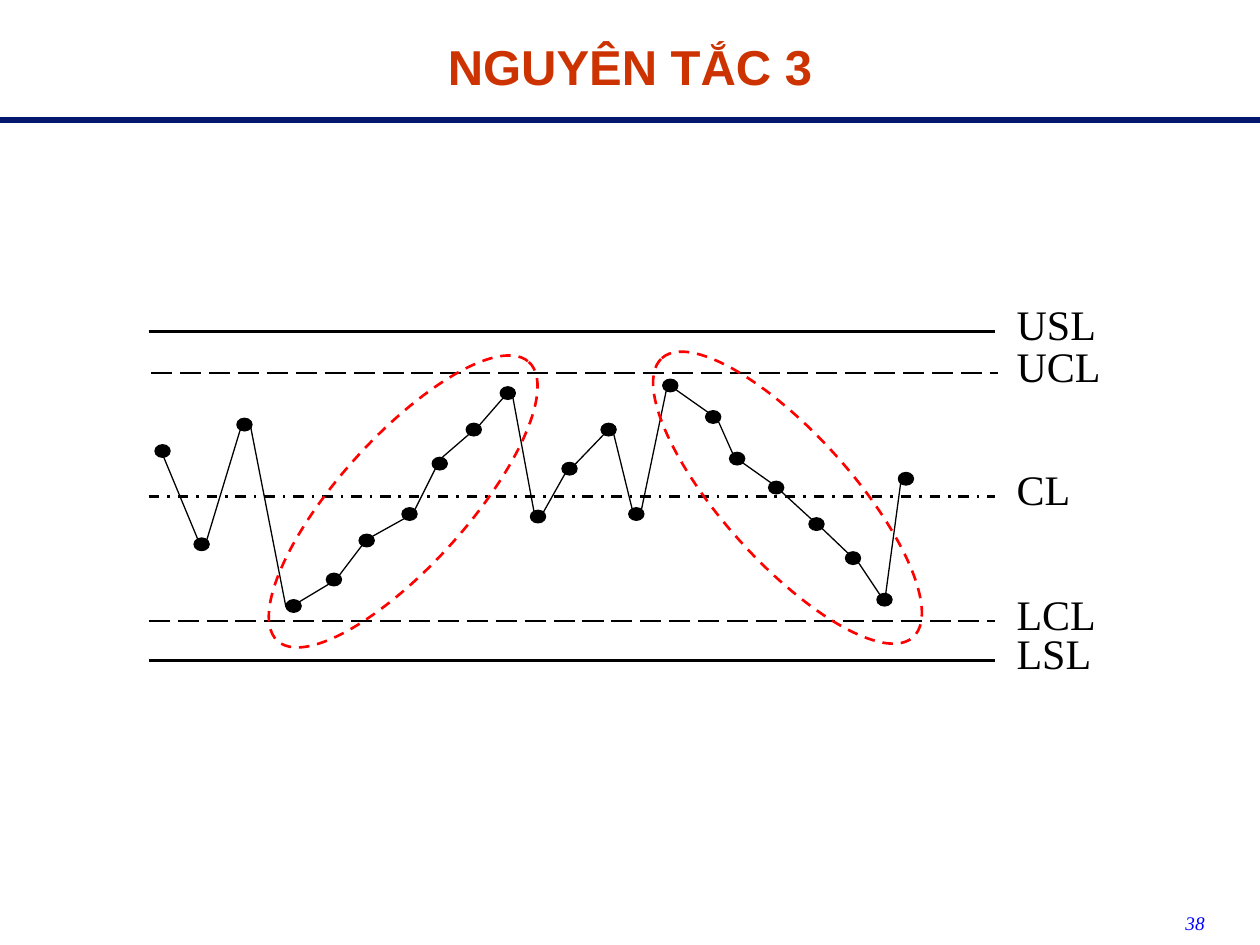
from dataclasses import dataclass
from itertools import pairwise

from pptx import Presentation
from pptx.dml.color import RGBColor
from pptx.enum.dml import MSO_LINE
from pptx.enum.shapes import MSO_CONNECTOR, MSO_SHAPE
from pptx.enum.text import PP_ALIGN
from pptx.oxml.ns import qn
from pptx.util import Inches, Pt

STRAIGHT = MSO_CONNECTOR.STRAIGHT
OVAL = MSO_SHAPE.OVAL
LONG_DASH, DASH_DOT, DASH = MSO_LINE.LONG_DASH, MSO_LINE.DASH_DOT, MSO_LINE.DASH
LEFT, CENTER, RIGHT = PP_ALIGN.LEFT, PP_ALIGN.CENTER, PP_ALIGN.RIGHT


@dataclass(frozen=True)
class Theme:
    title_color: str = "CC3300"
    rule_color: str = "01186C"
    ink: str = "000000"
    highlight: str = "FF0000"
    number_color: str = "0000FF"
    heading_font: str = "Arial"
    body_font: str = "Times New Roman"
    title_size: int = 28
    label_size: int = 24
    number_size: int = 11
    thin: float = 0.75
    medium: float = 1.5
    thick: float = 3.5


class SlideBuilder:
    def __init__(self, slide, theme):
        self.shapes = slide.shapes
        self.theme = theme

    def text(self, area, words, font, size, color, align=LEFT, bold=False, italic=False):
        box = self.shapes.add_textbox(*map(Inches, area))
        box.text_frame.word_wrap = True
        paragraph = box.text_frame.paragraphs[0]
        paragraph.text = words
        paragraph.alignment = align
        paragraph.font.name = font
        paragraph.font.size = Pt(size)
        paragraph.font.bold = bold
        paragraph.font.italic = italic
        paragraph.font.color.rgb = RGBColor.from_string(color)

    def stroke(self, line, color, width, dash=None):
        line.color.rgb = RGBColor.from_string(color)
        line.width = Pt(width)
        if dash is not None:
            line.dash_style = dash

    def line(self, ends, color, width, dash=None):
        connector = self.shapes.add_connector(STRAIGHT, *map(Inches, ends))
        self.stroke(connector.line, color, width, dash)
        properties = connector._element.spPr
        properties.append(properties.makeelement(qn("a:effectLst"), {}))

    def ellipse(self, area, color, width, fill=None, dash=None, rotation=0):
        shape = self.shapes.add_shape(OVAL, *map(Inches, area))
        shape.shadow.inherit = False
        shape.rotation = rotation
        if fill is None:
            shape.fill.background()
        else:
            shape.fill.solid()
            shape.fill.fore_color.rgb = RGBColor.from_string(fill)
        self.stroke(shape.line, color, width, dash)


# Name, left end, height on the slide, dash
LIMITS = [
    ("USL", 1.18, 2.63, None),
    ("UCL", 1.2, 2.96, LONG_DASH),
    ("CL", 1.18, 3.94, DASH_DOT),
    ("LCL", 1.18, 4.93, LONG_DASH),
    ("LSL", 1.18, 5.24, None),
]
LIMIT_LENGTH = 6.72

# Left and top of each sample dot, in time order
SAMPLES = [
    (1.23, 3.53), (1.54, 4.27), (1.88, 3.32), (2.27, 4.76), (2.59, 4.55),
    (2.85, 4.24), (3.19, 4.03), (3.43, 3.63), (3.7, 3.36), (3.97, 3.07),
    (4.21, 4.05), (4.46, 3.67), (4.77, 3.36), (4.99, 4.03), (5.26, 3.01),
    (5.6, 3.26), (5.79, 3.59), (6.1, 3.82), (6.42, 4.11), (6.71, 4.38),
    (6.96, 4.71), (7.13, 3.75),
]
# Links that touch their dots at other places than the usual ones
SPECIAL_LINKS = {
    0: (1.3, 3.63, 1.57, 4.28),
    2: (1.98, 3.34, 2.27, 4.82),
    7: (3.51, 3.63, 3.73, 3.44),
    20: (7.03, 4.71, 7.15, 3.82),
}
# Area and rotation of the ring around each trend
TRENDS = [((1.71, 3.47, 2.98, 1.02), 132), ((4.76, 3.44, 2.98, 1.02), 48)]


def link_ends(start, end):
    """Join the facing edges of two dots."""
    falling = end[1] > start[1]
    leave, arrive = (0.08, 0.02) if falling else (0.02, 0.08)
    return start[0] + 0.1, start[1] + leave, end[0] + 0.03, end[1] + arrive


def draw_control_chart(builder):
    theme = builder.theme
    for name, left, height, dash in LIMITS:
        builder.line((left, height, left + LIMIT_LENGTH, height),
                     theme.ink, theme.medium, dash)
        builder.text((7.97, height - 0.31, 1.26, 0.61), name,
                     theme.body_font, theme.label_size, theme.ink)
    for left, top in SAMPLES:
        builder.ellipse((left, top, 0.12, 0.1), theme.ink, theme.thin, fill=theme.ink)
    for index, (start, end) in enumerate(pairwise(SAMPLES)):
        ends = SPECIAL_LINKS.get(index, link_ends(start, end))
        builder.line(ends, theme.ink, theme.thin)
    for area, rotation in TRENDS:
        builder.ellipse(area, theme.highlight, theme.medium, dash=DASH, rotation=rotation)


def main():
    deck = Presentation()
    deck.slide_width, deck.slide_height = Inches(10), Inches(7.5)
    theme = Theme()
    builder = SlideBuilder(deck.slides.add_slide(deck.slide_layouts[6]), theme)
    builder.text((0, 0.24, 10, 0.99), "NGUYÊN TẮC 3", theme.heading_font,
                 theme.title_size, theme.title_color, CENTER, bold=True)
    draw_control_chart(builder)
    builder.text((7.33, 7.18, 2.33, 0.25), "38", theme.body_font,
                 theme.number_size, theme.number_color, RIGHT, italic=True)
    builder.line((0, 0.95, 10, 0.95), theme.rule_color, theme.thick)
    deck.save("out.pptx")


if __name__ == "__main__":
    main()
